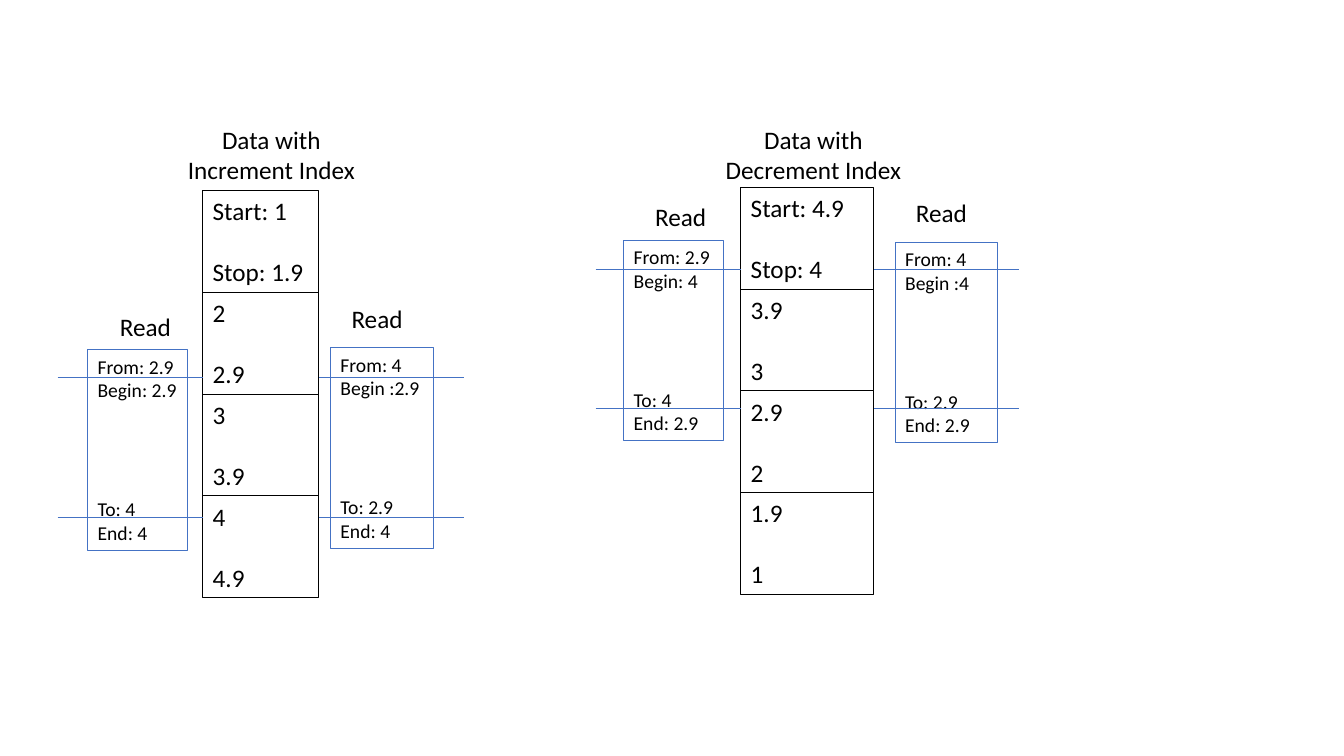
"""Draw read ranges beside data with increment and decrement index."""
from lxml.etree import SubElement
from pptx import Presentation
from pptx.dml.color import RGBColor
from pptx.enum.shapes import MSO_CONNECTOR as Connector, MSO_SHAPE as Shape
from pptx.enum.text import MSO_ANCHOR as Anchor, PP_ALIGN as Align
from pptx.oxml.ns import qn
from pptx.util import Cm, Pt

COLORS = {"text": "000000", "cell": "000000", "read": "4472C4"}
CELL_HEIGHT, READ_HEIGHT, LABEL_HEIGHT = 2.565, 5.06, 1.02
LINE_LENGTH, LINE_GAP = 3.66, 3.51

PANELS = [
    {
        "title": ["Data with", "Increment Index"], "title_at": (4.45, 3, 4.78, 1.8),
        "left": 5.11, "top": 4.8, "width": 2.93, "line_top": 9.52,
        "cells": [("Start: 1", "Stop: 1.9"), ("2", "2.9"), ("3", "3.9"), ("4", "4.9")],
        "reads": [
            (2.21, 8.81, 2.51, 2.77, 7.72, ["From: 2.9", "Begin: 2.9", "To: 4", "End: 4"]),
            (8.33, 8.76, 2.59, 8.61, 7.52, ["From: 4", "Begin :2.9", "To: 2.9", "End: 4"]),
        ],
    },
    {
        "title": ["Data with", "Decrement Index"], "title_at": (18.01, 3, 4.98, 1.8),
        "left": 18.67, "top": 4.72, "width": 3.35, "line_top": 6.78,
        "cells": [("Start: 4.9", "Stop: 4"), ("3.9", "3"), ("2.9", "2"), ("1.9", "1")],
        "reads": [
            (15.72, 6.05, 2.51, 16.26, 4.95, ["From: 2.9", "Begin: 4", "To: 4", "End: 2.9"]),
            (22.56, 6.1, 2.59, 22.83, 4.85, ["From: 4", "Begin :4", "To: 2.9", "End: 2.9"]),
        ],
    },
]

deck = Presentation()
deck.slide_width, deck.slide_height = Cm(33.87), Cm(19.05)
page = deck.slides.add_slide(deck.slide_layouts[6])


def write_lines(box, lines, size, align=Align.LEFT, gap=0):
    """Fill a box with paragraphs, with a gap before the second half."""
    frame = box.text_frame
    frame.word_wrap = True
    frame.vertical_anchor = Anchor.TOP
    frame.text = "\n".join(lines)
    if align == Align.LEFT:
        frame.margin_right = 0
    for para in frame.paragraphs:
        para.alignment = align
        para.font.name, para.font.size = "Calibri", Pt(size)
        para.font.color.rgb = RGBColor.from_string(COLORS["text"])
    if gap:
        frame.paragraphs[len(lines) // 2].space_before = Pt(gap)


def add_frame(area, color):
    """Add an unfilled rectangle with a thin outline."""
    box = page.shapes.add_shape(Shape.RECTANGLE, *map(Cm, area))
    box.shadow.inherit = False
    box.fill.background()
    box.line.color.rgb = RGBColor.from_string(COLORS[color])
    box.line.width = Pt(0.75)
    return box


for panel in PANELS:
    left, width = panel["left"], panel["width"]
    for row, cell in enumerate(panel["cells"]):
        area = (left, panel["top"] + row * CELL_HEIGHT, width, CELL_HEIGHT)
        write_lines(add_frame(area, "cell"), cell, 18, gap=22)

    title = page.shapes.add_textbox(*map(Cm, panel["title_at"]))
    write_lines(title, panel["title"], 18, Align.CENTER)

    for x, y, read_width, label_x, label_y, lines in panel["reads"]:
        read = add_frame((x, y, read_width, READ_HEIGHT), "read")
        write_lines(read, lines, 14, gap=68.4)
        label = page.shapes.add_textbox(*map(Cm, (label_x, label_y, 1.8, LABEL_HEIGHT)))
        write_lines(label, ["Read"], 18)

    for start in (left - LINE_LENGTH, left + width):
        for height in (panel["line_top"], panel["line_top"] + LINE_GAP):
            ends = map(Cm, (start, height, start + LINE_LENGTH, height))
            line = page.shapes.add_connector(Connector.STRAIGHT, *ends)
            line.line.color.rgb = RGBColor.from_string(COLORS["read"])
            line.line.width = Pt(0.5)
            SubElement(line._element.spPr, qn("a:effectLst"))

deck.save("out.pptx")
